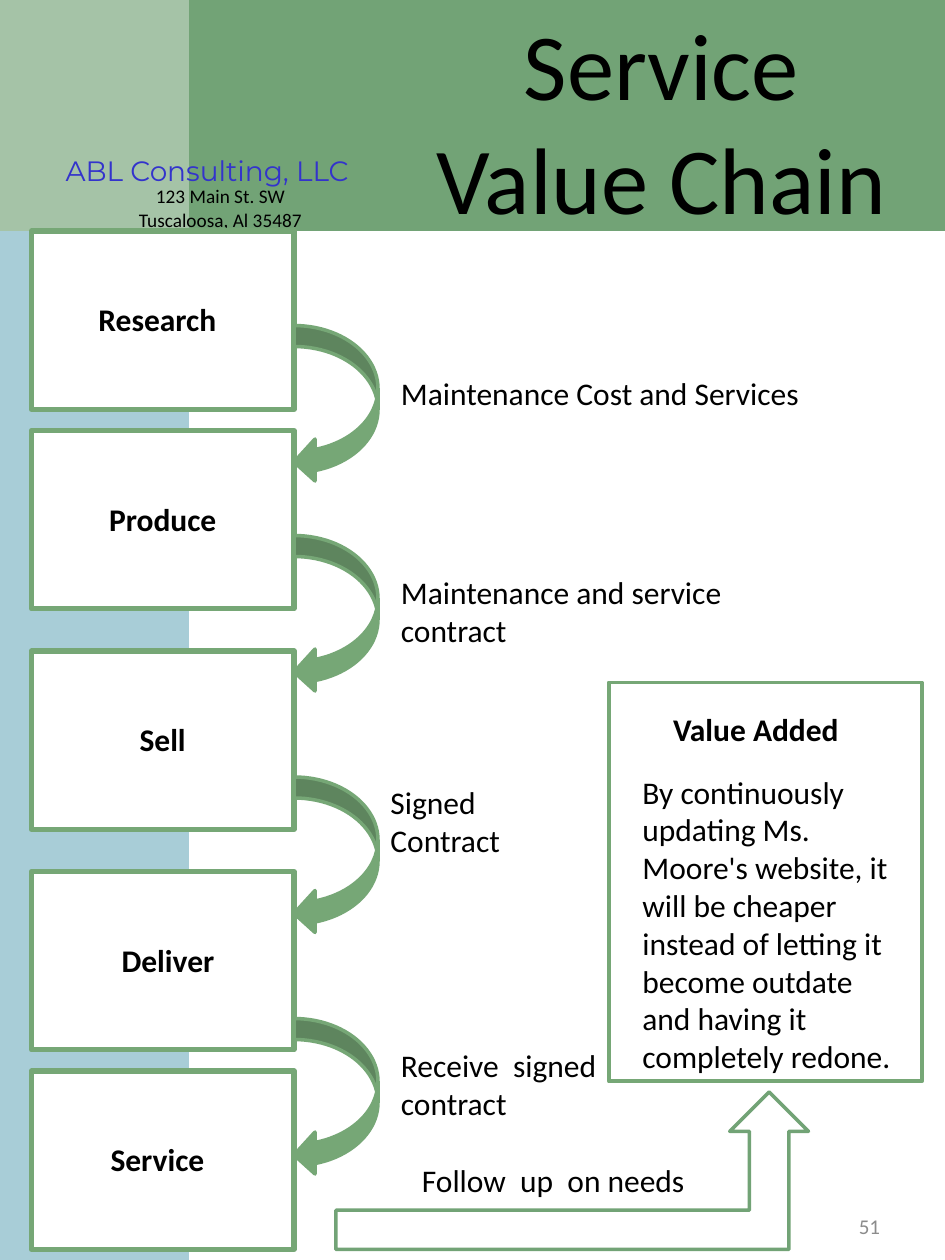
import dataclasses

import pptx
import pptx.dml.color
import pptx.enum.shapes
import pptx.enum.text
import pptx.util

SHAPE = pptx.enum.shapes.MSO_SHAPE
ALIGN = pptx.enum.text.PP_ALIGN
ANCHOR = pptx.enum.text.MSO_ANCHOR

WIDTH, HEIGHT = pptx.util.Inches(7.5), pptx.util.Inches(10)
COLUMNS, ROWS = 90, 120  # square grid cells


@dataclasses.dataclass(frozen=True)
class Theme:
    green: str = "76A776"
    header: str = "72A376"
    corner: str = "A5C3A7"
    side: str = "A8CDD7"
    white: str = "FFFFFF"
    ink: str = "000000"
    company: str = "3333CC"
    muted: str = "8C8C8C"
    font: str = "Calibri"
    company_font: str = "Montserrat"
    title: int = 54
    body: int = 18
    name: int = 16
    small: int = 12
    address: int = 11


THEME = Theme()


@dataclasses.dataclass(frozen=True)
class Box:
    """An area of the slide in grid columns and rows."""
    left: float
    top: float
    width: float
    height: float

    def inside(self, left, top, width, height):
        return Box(self.left + left, self.top + top, width, height)

    def place(self, shape):
        shape.left = int(WIDTH * self.left / COLUMNS)
        shape.top = int(HEIGHT * self.top / ROWS)
        shape.width = int(WIDTH * self.width / COLUMNS)
        shape.height = int(HEIGHT * self.height / ROWS)


def color(value):
    return pptx.dml.color.RGBColor.from_string(value)


def add_figure(page, kind, box, fill, line=None, weight=2):
    shape = page.shapes.add_shape(kind, 0, 0, 1, 1)
    box.place(shape)
    shape.shadow.inherit = False
    shape.fill.solid()
    shape.fill.fore_color.rgb = color(fill)
    if line:
        shape.line.color.rgb = color(line)
        shape.line.width = pptx.util.Pt(weight)
    else:
        shape.line.fill.background()


def write(shape, text, size, align=ALIGN.LEFT, bold=False, ink=THEME.ink,
          font=THEME.font, wrap=True, anchor=ANCHOR.TOP):
    frame = shape.text_frame
    frame.text = text
    frame.word_wrap = wrap
    frame.auto_size = pptx.enum.text.MSO_AUTO_SIZE.NONE
    frame.vertical_anchor = anchor
    for para in frame.paragraphs:
        para.alignment = align
        para.space_before = pptx.util.Pt(0)
        for span in para.runs:
            span.font.name = font
            span.font.size = pptx.util.Pt(size)
            span.font.bold = bold
            span.font.color.rgb = color(ink)


def add_text(page, box, text, size=THEME.body, **style):
    shape = page.shapes.add_textbox(0, 0, 1, 1)
    box.place(shape)
    write(shape, text, size, **style)


def build_header(page, box):
    # Bands
    add_figure(page, SHAPE.RECTANGLE, box, THEME.header)
    add_figure(page, SHAPE.RECTANGLE, box.inside(0, 0, 18, box.height), THEME.corner)

    # Company name and address
    add_text(page, box.inside(5, 14, 29.5, 3.75), "ABL Consulting, LLC", THEME.name,
             align=ALIGN.CENTER, font=THEME.company_font, ink=THEME.company, wrap=False)
    add_text(page, box.inside(0, 17, 42, 5.6), "123 Main St. SW\nTuscaloosa, Al 35487",
             THEME.address, align=ALIGN.CENTER)

    # Title, brought in front of the bands
    title = page.shapes.title
    box.inside(36, 0, 54, 23).place(title)
    write(title, "Service\nValue Chain", THEME.title, align=ALIGN.CENTER)
    title.element.getparent().append(title.element)


def build_chain(page, box):
    # Stages: name, row, label offset, label width
    stages = [("Research", 0, 0, 24), ("Produce", 19, 0, 25), ("Sell", 40, 0, 25),
              ("Deliver", 61, 1, 24), ("Service", 80, 0, 24)]
    for name, row, offset, width in stages:
        add_figure(page, SHAPE.RECTANGLE, box.inside(0, row, box.width, 17),
                   THEME.white, THEME.green, 3)
        add_text(page, box.inside(offset, row + 6, width, 4.8), name,
                 align=ALIGN.CENTER, bold=True)

    # Arrows from stage to stage
    for row in (9, 29, 52, 75):
        add_figure(page, SHAPE.CURVED_LEFT_ARROW, box.inside(box.width, row, 8, 15),
                   THEME.green, THEME.green)


def build_notes(page, box):
    # Arrow up to the value panel
    add_figure(page, SHAPE.BENT_UP_ARROW, box.inside(0, 69, 45, 15),
               THEME.white, THEME.header)

    # Notes beside the arrows: text, column, row, width, height
    notes = [("Maintenance Cost and Services", 5, 0, 45, 4.8),
             ("Maintenance and service contract", 5, 19, 37, 8.5),
             ("Signed\nContract", 4, 39, 21, 8.5),
             ("Receive  signed\ncontract", 5, 64, 22, 8.5),
             ("Follow  up  on needs", 7, 75, 32, 4.8)]
    for text, *area in notes:
        add_text(page, box.inside(*area), text)


def build_value(page, box):
    add_figure(page, SHAPE.RECTANGLE, box, THEME.white, THEME.green, 2.25)
    add_text(page, box.inside(-2, 2, 32, 4.8), "Value Added",
             align=ALIGN.CENTER, bold=True)
    add_text(page, box.inside(2, 8, 27, 30.2),
             "By continuously updating Ms. Moore's website, it will be cheaper "
             "instead of letting it become outdate and having it completely redone.")


def main():
    deck = pptx.Presentation()
    deck.slide_width, deck.slide_height = WIDTH, HEIGHT
    page = deck.slides.add_slide(deck.slide_layouts.get_by_name("Title Only"))

    # Side band
    add_figure(page, SHAPE.RECTANGLE, Box(0, 8, 18, 112), THEME.side)

    build_header(page, Box(0, 0, COLUMNS, 22))
    build_chain(page, Box(3, 22, 25, 97))
    build_notes(page, Box(32, 35, 50, 84))
    build_value(page, Box(58, 65, 29.8, 38))

    # Page number
    add_text(page, Box(64, 113.6, 21, 6.4), "51", THEME.small,
             align=ALIGN.RIGHT, ink=THEME.muted, anchor=ANCHOR.MIDDLE)

    deck.save("out.pptx")


if __name__ == "__main__":
    main()
